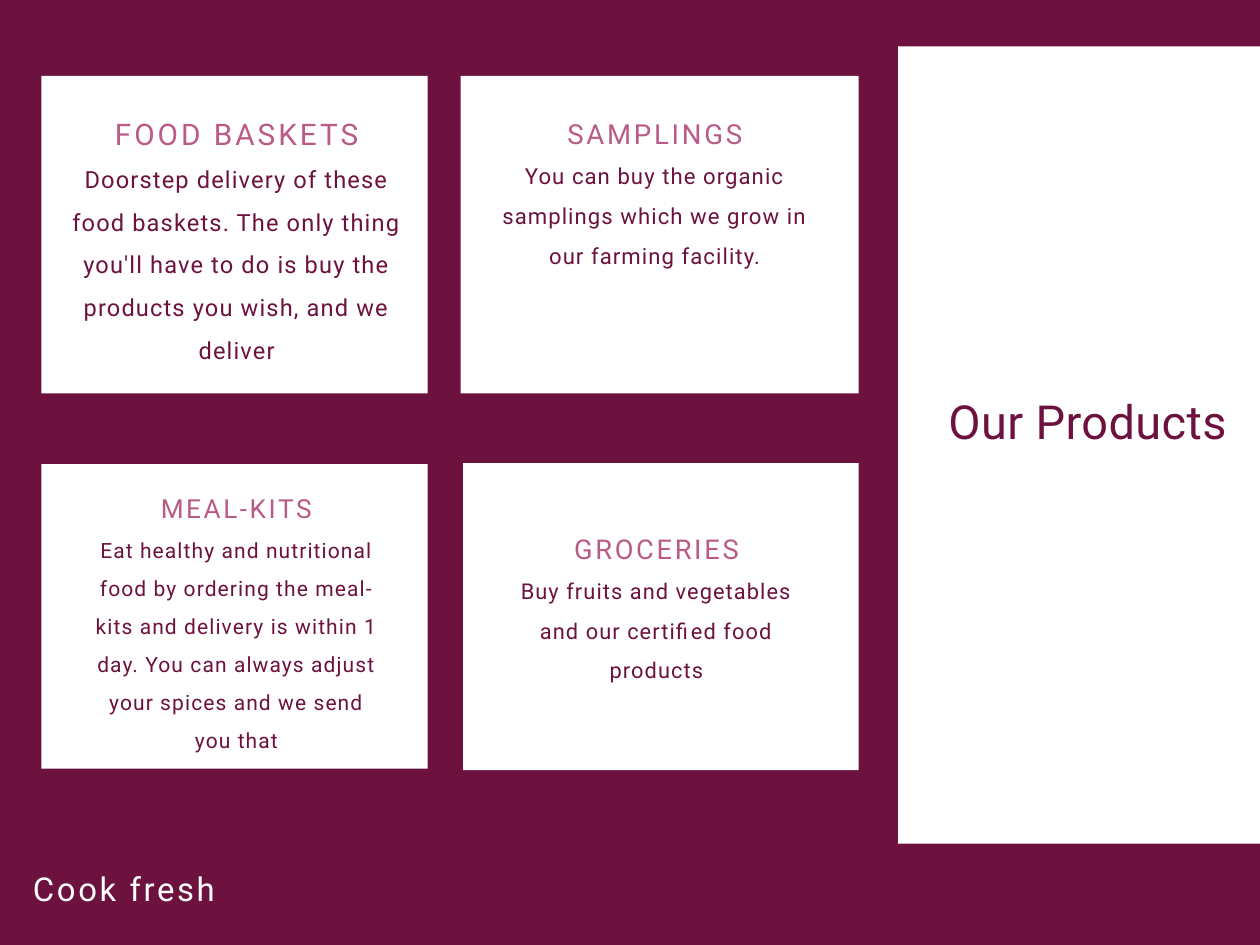
from dataclasses import dataclass

from pptx import Presentation
from pptx.dml.color import RGBColor
from pptx.enum.shapes import MSO_SHAPE
from pptx.enum.text import MSO_AUTO_SIZE, PP_ALIGN
from pptx.util import Cm, Pt


@dataclass(frozen=True)
class Theme:
    font: str = "Roboto"
    plum: RGBColor = RGBColor(0x6D, 0x12, 0x3F)
    rose: RGBColor = RGBColor(0xBA, 0x5A, 0x87)
    white: RGBColor = RGBColor(0xFF, 0xFF, 0xFF)
    title_size: float = 28.6
    footer_size: float = 20
    heading_sizes: tuple = (18.1, 16.8, 16, 16.6)
    body_sizes: tuple = (14.4, 13.5, 12.8, 13.3)
    heading_leading: float = 1.65
    body_leading: float = 1.81
    heading_tracking: float = 0.1
    body_tracking: float = 0.05


@dataclass(frozen=True)
class Product:
    name: str
    description: str
    panel: tuple
    heading: tuple
    body_top: float
    body_height: float


THEME = Theme()
BODY_INSET = 0.23

PRODUCTS = (
    Product(
        "FOOD BASKETS",
        "Doorstep delivery of these food baskets. The only thing you'll have "
        "to do is buy the products you wish, and we deliver",
        (0.89, 1.63, 8.31, 6.83), (1.24, 2.21, 7.7, 0.91), 3.23, 4.52,
    ),
    Product(
        "SAMPLINGS",
        "You can buy the organic samplings which we grow in our farming facility.",
        (9.91, 1.63, 8.56, 6.83), (10.49, 2.24, 7.19, 0.86), 3.2, 2.46,
    ),
    Product(
        "MEAL-KITS",
        "Eat healthy and nutritional food by ordering the meal-kits and delivery "
        "is within 1 day. You can always adjust your spices and we send you that",
        (0.89, 9.98, 8.31, 6.55), (1.68, 10.34, 6.81, 0.84), 11.28, 4.75,
    ),
    Product(
        "GROCERIES",
        "Buy fruits and vegetables and our certified food products",
        (9.96, 9.96, 8.51, 6.6), (10.59, 11.18, 7.06, 0.84), 12.14, 2.44,
    ),
)


def add_panel(slide, area):
    panel = slide.shapes.add_shape(MSO_SHAPE.RECTANGLE, *map(Cm, area))
    panel.shadow.inherit = False
    panel.fill.solid()
    panel.fill.fore_color.rgb = THEME.white
    panel.line.fill.background()


def add_text(slide, area, text, size, color, leading, tracking, align):
    box = slide.shapes.add_textbox(*map(Cm, area))
    frame = box.text_frame
    frame.word_wrap = True
    frame.auto_size = MSO_AUTO_SIZE.SHAPE_TO_FIT_TEXT
    frame.margin_left = frame.margin_right = 0
    frame.margin_top = frame.margin_bottom = 0
    para = frame.paragraphs[0]
    para.alignment = align
    para.line_spacing = Pt(round(size * leading, 1))
    para.font.name = THEME.font
    para.font.size = Pt(size)
    para.font.color.rgb = color
    span = para.add_run()
    span.text = text
    span._r.get_or_add_rPr().set("spc", str(round(size * tracking * 100)))


def add_product(slide, product, heading_size, body_size):
    add_panel(slide, product.panel)
    add_text(slide, product.heading, product.name, heading_size, THEME.rose,
             THEME.heading_leading, THEME.heading_tracking, PP_ALIGN.CENTER)
    left, _, width, _ = product.heading
    body = (left + BODY_INSET, product.body_top,
            width - 2 * BODY_INSET, product.body_height)
    add_text(slide, body, product.description, body_size, THEME.plum,
             THEME.body_leading, THEME.body_tracking, PP_ALIGN.CENTER)


def main():
    deck = Presentation()
    deck.slide_width = Cm(27.1)
    deck.slide_height = Cm(20.32)
    slide = deck.slides.add_slide(deck.slide_layouts[6])
    slide.background.fill.solid()
    slide.background.fill.fore_color.rgb = THEME.plum

    add_panel(slide, (19.32, 1, 7.78, 17.14))
    add_text(slide, (19.89, 8.31, 6.5, 1.37), "Our Products", THEME.title_size,
             THEME.plum, 1.33, 0.01, PP_ALIGN.RIGHT)
    for product, heading_size, body_size in zip(
            PRODUCTS, THEME.heading_sizes, THEME.body_sizes):
        add_product(slide, product, heading_size, body_size)
    add_text(slide, (0.71, 18.54, 26.39, 0.99), "Cook fresh", THEME.footer_size,
             THEME.white, 1.4, 0.08, PP_ALIGN.LEFT)
    deck.save("out.pptx")


if __name__ == "__main__":
    main()
